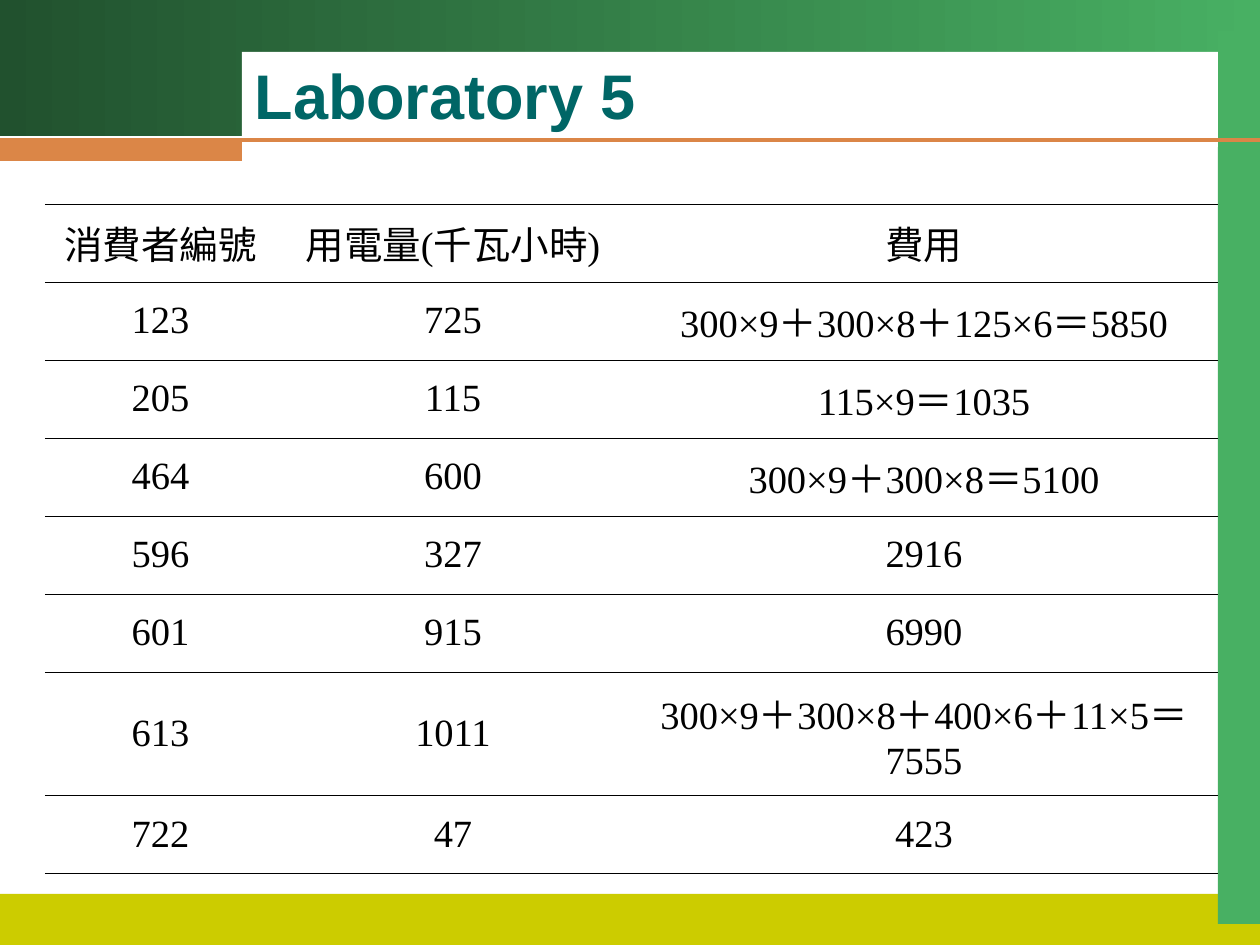
from dataclasses import dataclass

from lxml import etree
from pptx import Presentation
from pptx.dml.color import RGBColor
from pptx.enum.shapes import MSO_CONNECTOR, MSO_SHAPE
from pptx.enum.text import MSO_ANCHOR, MSO_AUTO_SIZE, PP_ALIGN
from pptx.oxml.ns import qn
from pptx.slide import Slide
from pptx.table import _Cell
from pptx.text.text import TextFrame
from pptx.util import Emu, Pt

RECTANGLE = MSO_SHAPE.RECTANGLE
STRAIGHT = MSO_CONNECTOR.STRAIGHT
MIDDLE = MSO_ANCHOR.MIDDLE
LEFT, CENTER = PP_ALIGN.LEFT, PP_ALIGN.CENTER
NO_AUTOFIT = MSO_AUTO_SIZE.NONE

PX_PER_INCH = 126
SLIDE_WIDTH, SLIDE_HEIGHT = 1260, 945
GREEN, ORANGE = "48B063", "DB8647"
RULE_Y = 140
BORDER_WIDTH = Pt(0.45)


@dataclass(frozen=True)
class Band:
    left: int
    top: int
    width: int
    height: int
    color: str
    end_color: str = ""


BACKGROUND_BANDS = [
    Band(0, 0, SLIDE_WIDTH, 136, "21512E", GREEN),
    Band(0, 894, SLIDE_WIDTH, 51, "CCCC00"),
    Band(1218, 31, 42, 893, GREEN),
    Band(242, 52, 976, 95, "FFFFFF"),
]
ORANGE_BAND = Band(0, RULE_Y, 242, 21, ORANGE)

TABLE_LEFT, TABLE_TOP = 45, 204
COLUMN_WIDTHS = [231, 354, 588]
ROW_HEIGHT, TWO_LINE_ROW_HEIGHT = 78, 124
TWO_LINE_ROW = 6
ROWS = [
    ("消費者編號", "用電量(千瓦小時)", "費用"),
    ("123", "725", "300×9＋300×8＋125×6＝5850"),
    ("205", "115", "115×9＝1035"),
    ("464", "600", "300×9＋300×8＝5100"),
    ("596", "327", "2916"),
    ("601", "915", "6990"),
    ("613", "1011", "300×9＋300×8＋400×6＋11×5＝7555"),
    ("722", "47", "423"),
]


def px(length: int) -> Emu:
    return Emu(round(length * 914400 / PX_PER_INCH))


def rgb(color: str) -> RGBColor:
    return RGBColor.from_string(color)


def write_text(frame: TextFrame, text: str, *, font: str, size: int, color: str,
               bold: bool = False, align: PP_ALIGN = LEFT) -> None:
    frame.word_wrap = True
    paragraph = frame.paragraphs[0]
    paragraph.alignment = align
    run = paragraph.add_run()
    run.text = text
    run.font.name = font
    run.font.size = Pt(size)
    run.font.bold = bold
    run.font.color.rgb = rgb(color)


def draw_band(slide: Slide, band: Band) -> None:
    shape = slide.shapes.add_shape(
        RECTANGLE, px(band.left), px(band.top), px(band.width), px(band.height))
    shape.shadow.inherit = False
    shape.line.fill.background()
    if band.end_color:
        shape.fill.gradient()
        shape.fill.gradient_angle = 0
        for stop, color in zip(shape.fill.gradient_stops, (band.color, band.end_color)):
            stop.color.rgb = rgb(color)
    else:
        shape.fill.solid()
        shape.fill.fore_color.rgb = rgb(band.color)


def draw_rule(slide: Slide) -> None:
    rule = slide.shapes.add_connector(
        STRAIGHT, 0, px(RULE_Y), px(SLIDE_WIDTH), px(RULE_Y))
    rule.line.color.rgb = rgb(ORANGE)
    rule.line.width = Pt(2.25)
    etree.SubElement(rule.element.spPr, qn("a:effectLst"))


def set_borders(cell: _Cell, color: str) -> None:
    """Rule the cell above and below, and leave its sides open."""
    properties = cell._tc.get_or_add_tcPr()
    for side in ("L", "R", "T", "B"):
        border = etree.SubElement(properties, qn(f"a:ln{side}"), w=str(BORDER_WIDTH))
        if side in "LR":
            etree.SubElement(border, qn("a:noFill"))
        else:
            fill = etree.SubElement(border, qn("a:solidFill"))
            etree.SubElement(fill, qn("a:srgbClr"), val=color)


def draw_table(slide: Slide) -> None:
    heights = [TWO_LINE_ROW_HEIGHT if index == TWO_LINE_ROW else ROW_HEIGHT
               for index in range(len(ROWS))]
    table = slide.shapes.add_table(
        len(ROWS), len(COLUMN_WIDTHS), px(TABLE_LEFT), px(TABLE_TOP),
        px(sum(COLUMN_WIDTHS)), px(sum(heights))).table
    table.first_row = False
    table.horz_banding = False
    for column, width in zip(table.columns, COLUMN_WIDTHS):
        column.width = px(width)
    for row, height, texts in zip(table.rows, heights, ROWS):
        row.height = px(height)
        for cell, text in zip(row.cells, texts):
            set_borders(cell, "000000")
            cell.fill.background()
            cell.vertical_anchor = MIDDLE
            write_text(cell.text_frame, text, font="Times New Roman", size=22,
                       color="000000", align=CENTER)


def place_title(slide: Slide, text: str) -> None:
    title = slide.shapes.title
    title.left, title.top = px(242), px(52)
    title.width, title.height = px(976), px(84)
    title.text_frame.auto_size = NO_AUTOFIT
    title.text_frame.vertical_anchor = MIDDLE
    write_text(title.text_frame, text, font="Arial", size=36, color="006666", bold=True)
    # Bring the title in front of the white band.
    slide.shapes.element.append(title.element)


def main() -> None:
    presentation = Presentation()
    presentation.slide_width = px(SLIDE_WIDTH)
    presentation.slide_height = px(SLIDE_HEIGHT)
    slide = presentation.slides.add_slide(presentation.slide_layouts[5])
    for band in BACKGROUND_BANDS:
        draw_band(slide, band)
    draw_rule(slide)
    draw_band(slide, ORANGE_BAND)
    place_title(slide, "Laboratory 5")
    draw_table(slide)
    presentation.save("out.pptx")


if __name__ == "__main__":
    main()
